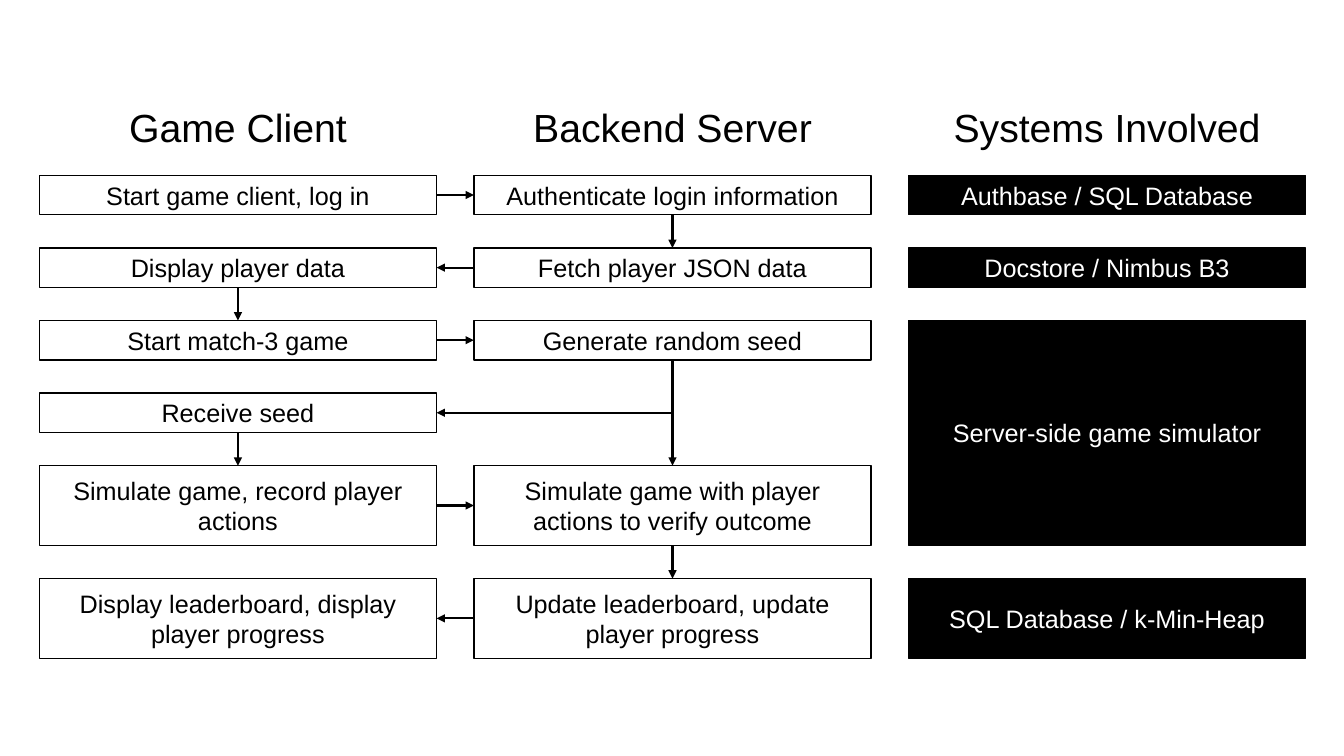
import dataclasses
import itertools

import pptx
import pptx.dml.color
import pptx.enum.shapes
import pptx.enum.text
import pptx.oxml.ns
import pptx.util
import lxml.etree


@dataclasses.dataclass(frozen=True)
class Theme:
    font: str = "Arial"
    ink: str = "000000"
    paper: str = "FFFFFF"
    heading_size: float = 28
    box_size: float = 18
    box_line: float = 1
    arrow_line: float = 1.5


THEME = Theme()
SLIDE_WIDTH, SLIDE_HEIGHT = 13.33, 7.5
COLUMN_LEFT, COLUMN_WIDTH, COLUMN_STEP = 0.39, 3.94, 4.31
HEADING_TOP, HEADING_HEIGHT = 0.98, 0.57
FIRST_ROW_TOP, ROW_GAP = 1.74, 0.33
ROW_HEIGHTS = [0.39] * 4 + [0.79] * 2
ROW_TOPS = list(itertools.accumulate(
    [height + ROW_GAP for height in ROW_HEIGHTS[:-1]], initial=FIRST_ROW_TOP))

CLIENT, SERVER, SYSTEMS = range(3)
TOP, LEFT, BOTTOM, RIGHT = range(4)

HEADINGS = ["Game Client", "Backend Server", "Systems Involved"]
STEPS = {
    (CLIENT, 0): "Start game client, log in",
    (SERVER, 0): "Authenticate login information",
    (SERVER, 1): "Fetch player JSON data",
    (CLIENT, 1): "Display player data",
    (CLIENT, 2): "Start match-3 game",
    (SERVER, 2): "Generate random seed",
    (CLIENT, 3): "Receive seed",
    (CLIENT, 4): "Simulate game, record player actions",
    (SERVER, 4): "Simulate game with player actions to verify outcome",
    (SERVER, 5): "Update leaderboard, update player progress",
    (CLIENT, 5): "Display leaderboard, display player progress",
}
SYSTEM_ROWS = [
    (0, 0, "Authbase / SQL Database"),
    (1, 1, "Docstore / Nimbus B3"),
    (2, 4, "Server-side game simulator"),
    (5, 5, "SQL Database / k-Min-Heap"),
]
FLOW = [
    ((CLIENT, 0), (SERVER, 0)),
    ((SERVER, 0), (SERVER, 1)),
    ((SERVER, 1), (CLIENT, 1)),
    ((CLIENT, 1), (CLIENT, 2)),
    ((CLIENT, 2), (SERVER, 2)),
    ((SERVER, 2), (CLIENT, 3)),
    ((CLIENT, 3), (CLIENT, 4)),
    ((CLIENT, 4), (SERVER, 4)),
    ((SERVER, 4), (SERVER, 5)),
    ((SERVER, 5), (CLIENT, 5)),
    ((SERVER, 2), (SERVER, 4)),
]


def color(value):
    return pptx.dml.color.RGBColor.from_string(value)


def cell_area(column, first_row, last_row):
    top = ROW_TOPS[first_row]
    height = ROW_TOPS[last_row] + ROW_HEIGHTS[last_row] - top
    left = COLUMN_LEFT + column * COLUMN_STEP
    return [pptx.util.Inches(value) for value in (left, top, COLUMN_WIDTH, height)]


def write_centered(shape, text, size, text_color):
    shape.text_frame.text = text
    paragraph = shape.text_frame.paragraphs[0]
    paragraph.alignment = pptx.enum.text.PP_ALIGN.CENTER
    font = paragraph.runs[0].font
    font.name = THEME.font
    font.size = pptx.util.Pt(size)
    font.color.rgb = color(text_color)


def add_heading(slide, column, text):
    left = COLUMN_LEFT + column * COLUMN_STEP
    shape = slide.shapes.add_textbox(*[
        pptx.util.Inches(value)
        for value in (left, HEADING_TOP, COLUMN_WIDTH, HEADING_HEIGHT)])
    write_centered(shape, text, THEME.heading_size, THEME.ink)
    shape.text_frame.word_wrap = False
    shape.text_frame.auto_size = pptx.enum.text.MSO_AUTO_SIZE.SHAPE_TO_FIT_TEXT


def add_box(slide, area, text, filled=False):
    shape = slide.shapes.add_shape(pptx.enum.shapes.MSO_SHAPE.RECTANGLE, *area)
    shape.shadow.inherit = False
    if filled:
        shape.fill.solid()
        shape.fill.fore_color.rgb = color(THEME.ink)
    else:
        shape.fill.background()
    shape.line.color.rgb = color(THEME.ink)
    shape.line.width = pptx.util.Pt(THEME.box_line)
    write_centered(shape, text, THEME.box_size, THEME.paper if filled else THEME.ink)
    shape.text_frame.word_wrap = True
    shape.text_frame.vertical_anchor = pptx.enum.text.MSO_ANCHOR.MIDDLE
    return shape


def choose_sides(start, end):
    if start[0] == end[0]:
        return BOTTOM, TOP
    if start[1] != end[1]:
        return BOTTOM, LEFT if end[0] > start[0] else RIGHT
    return (RIGHT, LEFT) if end[0] > start[0] else (LEFT, RIGHT)


def bend_down_then_left(connector):
    center_x = connector.left + connector.width // 2
    center_y = connector.top + connector.height // 2
    connector.width, connector.height = connector.height, connector.width
    connector.left = center_x - connector.width // 2
    connector.top = center_y - connector.height // 2
    properties = connector.element.spPr
    transform = properties.find(pptx.oxml.ns.qn("a:xfrm"))
    transform.attrib.pop("flipH", None)
    transform.set("rot", str(90 * 60000))
    properties.find(pptx.oxml.ns.qn("a:prstGeom")).set("prst", "bentConnector2")


def add_arrow(slide, boxes, start, end):
    bent = start[0] != end[0] and start[1] != end[1]
    kinds = pptx.enum.shapes.MSO_CONNECTOR
    connector = slide.shapes.add_connector(
        kinds.ELBOW if bent else kinds.STRAIGHT, 0, 0, 0, 0)
    start_side, end_side = choose_sides(start, end)
    connector.begin_connect(boxes[start], start_side)
    connector.end_connect(boxes[end], end_side)
    if bent:
        bend_down_then_left(connector)
    connector.line.color.rgb = color(THEME.ink)
    connector.line.width = pptx.util.Pt(THEME.arrow_line)
    properties = connector.element.spPr
    line = properties.find(pptx.oxml.ns.qn("a:ln"))
    lxml.etree.SubElement(line, pptx.oxml.ns.qn("a:tailEnd"), type="triangle")
    lxml.etree.SubElement(properties, pptx.oxml.ns.qn("a:effectLst"))


def main():
    presentation = pptx.Presentation()
    presentation.slide_width = pptx.util.Inches(SLIDE_WIDTH)
    presentation.slide_height = pptx.util.Inches(SLIDE_HEIGHT)
    slide = presentation.slides.add_slide(presentation.slide_layouts[6])
    for column, heading in enumerate(HEADINGS):
        add_heading(slide, column, heading)
    boxes = {
        (column, row): add_box(slide, cell_area(column, row, row), text)
        for (column, row), text in STEPS.items()
    }
    for first_row, last_row, text in SYSTEM_ROWS:
        add_box(slide, cell_area(SYSTEMS, first_row, last_row), text, filled=True)
    for start, end in FLOW:
        add_arrow(slide, boxes, start, end)
    presentation.save("out.pptx")


if __name__ == "__main__":
    main()
